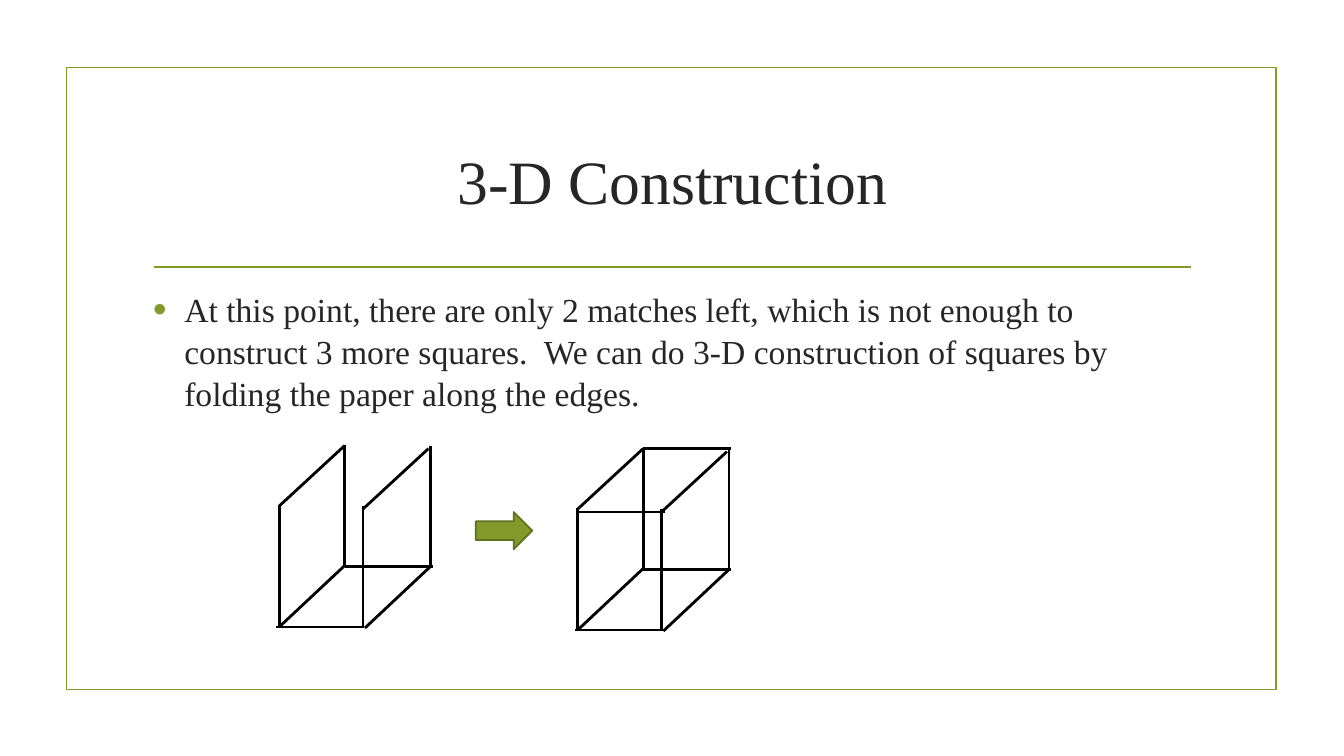
from pptx import Presentation, util as u
from pptx.dml.color import RGBColor
from pptx.enum import shapes, text
from pptx.oxml.ns import qn
from lxml import etree

PX = 9144  # 100 px to the inch
THEME = dict(green=RGBColor.from_string("83992A"), dark_green=RGBColor.from_string("61711F"),
             ink=RGBColor.from_string("262626"), black=RGBColor.from_string("000000"),
             font="Times New Roman", title=u.Pt(44), body=u.Pt(24),
             rule=u.Pt(1.25), match=u.Pt(2))

prs = Presentation()
prs.slide_width, prs.slide_height = 1333 * PX, 750 * PX
s = prs.slides.add_slide(prs.slide_layouts[6])


def add_line(x1, y1, x2, y2, color, width):
    c = s.shapes.add_connector(shapes.MSO_CONNECTOR.STRAIGHT, x1 * PX, y1 * PX, x2 * PX, y2 * PX)
    c.line.color.rgb, c.line.width = color, width
    etree.SubElement(c._element.spPr, qn("a:effectLst"))


def add_text(x, y, w, h, words, size, anchor):
    tf = s.shapes.add_textbox(x * PX, y * PX, w * PX, h * PX).text_frame
    tf.word_wrap, tf.vertical_anchor = True, anchor
    tf.text = words
    p = tf.paragraphs[0]
    f = p.runs[0].font
    f.name, f.size, f.color.rgb = THEME["font"], size, THEME["ink"]
    return p


# Frame and rule under the title
sp = s.shapes.add_shape(shapes.MSO_SHAPE.RECTANGLE, 66 * PX, 67 * PX, 1200 * PX, 617 * PX)
sp.shadow.inherit = False
sp.fill.background()
sp.line.color.rgb, sp.line.width = THEME["green"], THEME["rule"]
add_line(153, 265, 1181, 265, THEME["green"], THEME["rule"])

# Title
p = add_text(142, 107, 1050, 143, "3-D Construction", THEME["title"], text.MSO_ANCHOR.MIDDLE)
p.alignment = text.PP_ALIGN.CENTER

# Bulleted body
p = add_text(142, 280, 1050, 363,
             "At this point, there are only 2 matches left, which is not enough to construct 3 more "
             "squares.  We can do 3-D construction of squares by folding the paper along the edges.",
             THEME["body"], text.MSO_ANCHOR.TOP)
p.line_spacing, p.space_after = 1.04, u.Pt(6)
pPr = p._p.get_or_add_pPr()
pPr.set("marL", str(31 * PX))
pPr.set("indent", str(-31 * PX))
color = etree.SubElement(pPr, qn("a:buClr"))
etree.SubElement(color, qn("a:srgbClr"), val=str(THEME["green"]))
etree.SubElement(pPr, qn("a:buSzPct"), val="115000")
etree.SubElement(pPr, qn("a:buFont"), typeface="Arial")
etree.SubElement(pPr, qn("a:buChar"), char="•")

# Matches: the open box, then the same box shifted and closed by two more
open_box = [
    (277, 501, 277, 622), (342, 441, 342, 562), (427, 442, 427, 563), (360, 502, 360, 623),
    (342, 442, 277, 502), (342, 561, 277, 622), (425, 445, 360, 505), (427, 562, 362, 623),
    (429, 562, 342, 562), (360, 622, 274, 622),
]
top_matches = [(364, 505, 277, 505), (429, 442, 342, 442)]
for dx, dy, matches in [(0, 0, open_box), (296, 3, open_box + top_matches)]:
    for x1, y1, x2, y2 in matches:
        add_line(x1 + dx, y1 + dy, x2 + dx, y2 + dy, THEME["black"], THEME["match"])

# Arrow between the boxes
sp = s.shapes.add_shape(shapes.MSO_SHAPE.RIGHT_ARROW, 472 * PX, 508 * PX, 56 * PX, 37 * PX)
sp.shadow.inherit = False
sp.fill.solid()
sp.fill.fore_color.rgb = THEME["green"]
sp.line.color.rgb, sp.line.width = THEME["dark_green"], THEME["rule"]

prs.save("out.pptx")
